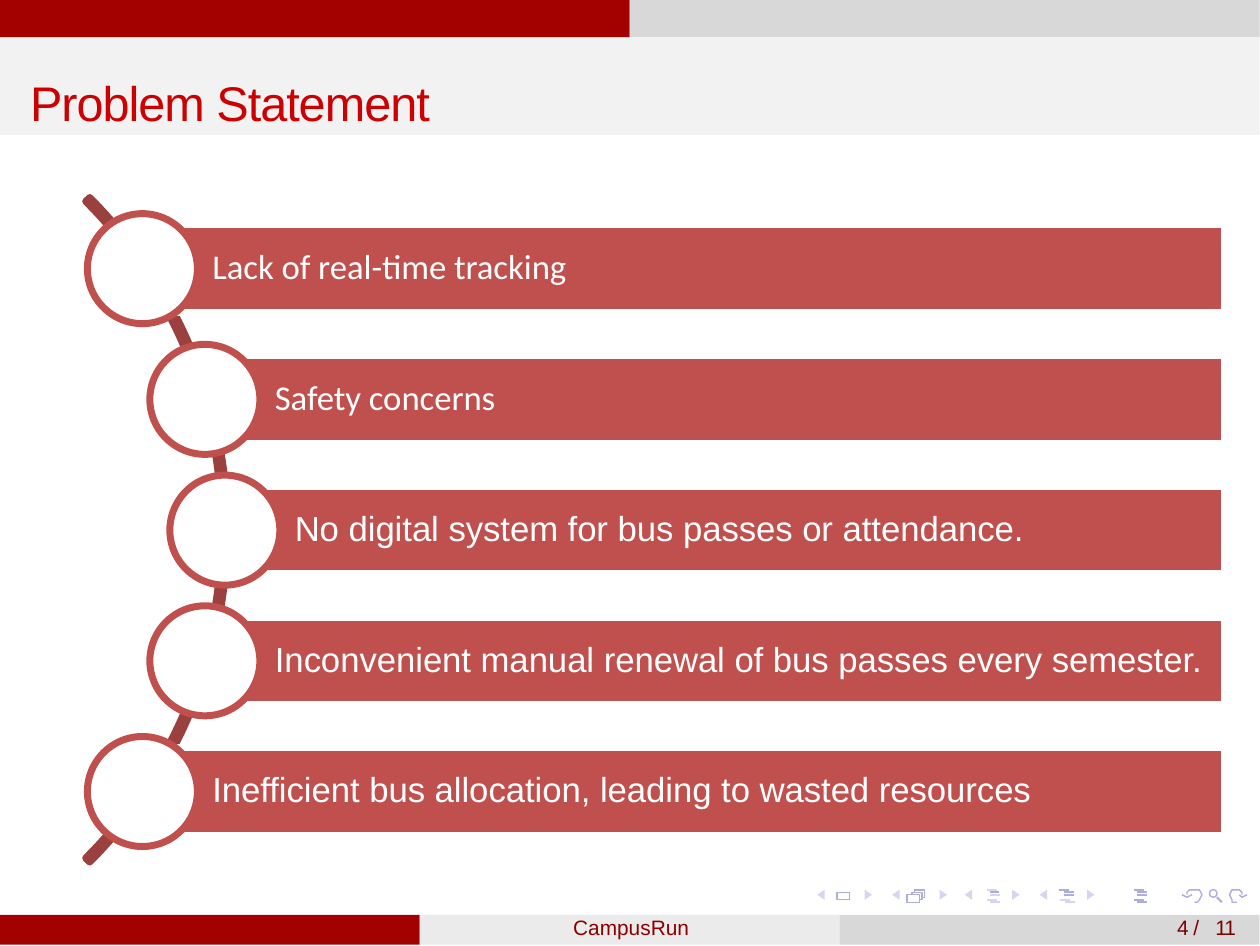
"""Build the Problem Statement slide with its curved list of five issues."""
from pptx import Presentation
from pptx import util as u
from pptx.dml.color import RGBColor
from pptx.enum import shapes, text

RED = RGBColor(0xA3, 0x00, 0x00)
TITLE_RED = RGBColor(0xCC, 0x00, 0x00)
FOOTER_RED = RGBColor(0x8E, 0x00, 0x00)
PAGE_RED = RGBColor(0x7A, 0x00, 0x00)
BRICK = RGBColor(0xC0, 0x50, 0x4D)
ARC_RED = RGBColor(0x9A, 0x40, 0x3E)
WHITE = RGBColor(0xFF, 0xFF, 0xFF)
GREY = RGBColor(0xD8, 0xD8, 0xD8)
PALE_GREY = RGBColor(0xEB, 0xEB, 0xEB)
TITLE_GREY = RGBColor(0xF2, 0xF2, 0xF2)
LILAC = RGBColor(0xAD, 0xAD, 0xE0)
PALE_LILAC = RGBColor(0xD6, 0xD6, 0xEF)

BANDS = [
    (0, 0, 2.52, 0.15, RED),
    (2.52, 0, 2.52, 0.15, GREY),
    (0, 0.15, 5.04, 0.39, TITLE_GREY),
    (0, 3.66, 1.68, 0.12, RED),
    (1.68, 3.66, 1.68, 0.12, PALE_GREY),
    (3.36, 3.66, 1.68, 0.12, GREY),
]
ISSUES = [
    ("Lack of real-time tracking", "Calibri", 0.57),
    ("Safety concerns", "Calibri", 0.82),
    ("No digital system for bus passes or attendance.", "Arial", 0.9),
    ("Inconvenient manual renewal of bus passes every semester.", "Arial", 0.82),
    ("Inefficient bus allocation, leading to wasted resources", "Arial", 0.57),
]
LABELS = [
    ((0.12, 0.27, 1.65, 0.27), 0.02, 1.4, 14, TITLE_RED, text.PP_ALIGN.LEFT,
     [("Problem Statement", -30)]),
    ((2.05, 3.63, 0.95, 0.13), 0.03, 1.9, 6, FOOTER_RED, text.PP_ALIGN.CENTER,
     [("CampusRun", 0)]),
    ((4.71, 3.63, 0.28, 0.15), 0.03, 1.9, 6, PAGE_RED, text.PP_ALIGN.LEFT,
     [("4 ", -30), ("/ ", 150), ("11", -30)]),
]

PALE_BARS = [(395, 356), (396, 358), (395, 360), (396, 361), (424, 360), (426, 361)]
DARK_BARS = [(396, 357), (424, 356), (426, 357), (426, 358), (454, 356),
             (455, 357), (455, 358), (454, 360), (455, 361)]
FRAMES = [
    [(335, 360), (340, 360), (340, 357), (335, 357), (335, 360)],
    [(363, 361), (368, 361), (368, 358), (363, 358), (363, 361)],
    [(365, 358), (365, 357), (369, 357), (369, 360), (368, 360)],
    [(366, 357), (366, 356), (370, 356), (370, 359), (369, 359)],
]
TURNS = [
    [(478, 361), (479, 361), (480, 360), (481, 358), (480, 356), (478, 356),
     (476, 356), (475, 357), (475, 358)],
    [(477, 358), (475, 359), (473, 358)],
    [(495, 361), (493, 361), (493, 360), (492, 358), (493, 356), (495, 356),
     (496, 356), (497, 357), (497, 358)],
    [(499, 358), (497, 359), (496, 358)],
]
LENS_HANDLE = [(487, 359), (489, 361)]


def paint(shape, fill=None, line=None, width=0.0):
    shape.shadow.inherit = False
    if fill is None:
        shape.fill.background()
    else:
        shape.fill.solid()
        shape.fill.fore_color.rgb = fill
    if line is None:
        shape.line.fill.background()
    else:
        shape.line.color.rgb = line
        shape.line.width = u.Pt(width)
    return shape


def add_preset(page, kind, area, **colours):
    return paint(page.shapes.add_shape(kind, *map(u.Inches, area)), **colours)


def add_outlines(page, outlines, **colours):
    builder = page.shapes.build_freeform(*outlines[0][0], scale=u.Inches(0.01))
    for index, points in enumerate(outlines):
        if index:
            builder.move_to(*points[0])
        builder.add_line_segments(points[1:], close=points[0] == points[-1])
    paint(builder.convert_to_shape(), **colours)


def set_insets(frame, left, top, right, bottom):
    frame.word_wrap = True
    frame.margin_left, frame.margin_top = u.Inches(left), u.Inches(top)
    frame.margin_right, frame.margin_bottom = u.Inches(right), u.Inches(bottom)


def add_span(para, words, font, size, colour, spacing=0):
    span = para.add_run()
    span.text = words
    span.font.name, span.font.size = font, u.Pt(size)
    span.font.color.rgb = colour
    if spacing:
        span._r.get_or_add_rPr().set("spc", str(spacing))


def add_navigation(page):
    triangles = []
    for index in range(4):
        left = round(327 + 29.67 * index)
        right = left + 19
        triangles.append([(left + 3, 356), (left, 358), (left + 3, 360), (left + 3, 356)])
        triangles.append([(right, 356), (right, 360), (right + 3, 358), (right, 356)])
    add_outlines(page, triangles, fill=PALE_LILAC)
    pale, dark = ([[(x, y), (x + 4, y)] for x, y in bars] for bars in (PALE_BARS, DARK_BARS))
    add_outlines(page, pale, line=PALE_LILAC, width=0.6)
    add_outlines(page, dark + [LENS_HANDLE], line=LILAC, width=0.6)
    add_outlines(page, FRAMES + TURNS, line=LILAC, width=0.4)
    add_preset(page, shapes.MSO_SHAPE.OVAL, (4.84, 3.56, 0.03, 0.03), line=LILAC, width=0.4)


def add_label(page, area, inset, before, size, colour, alignment, spans):
    box = page.shapes.add_textbox(*map(u.Inches, area))
    set_insets(box.text_frame, 0, inset, 0, 0)
    para = box.text_frame.paragraphs[0]
    para.alignment, para.space_before = alignment, u.Pt(before)
    for words, spacing in spans:
        add_span(para, words, "Arial", size, colour, spacing)


def add_issues(page):
    arc = add_preset(page, shapes.MSO_SHAPE.BLOCK_ARC, (-2.85, 0.24, 3.76, 3.76),
                     line=ARC_RED, width=2)
    for index, value in enumerate((189, 27, 0.006)):
        arc.adjustments[index] = value
    for index, (words, font, left) in enumerate(ISSUES):
        top = 0.9 + 0.523 * index
        bar = add_preset(page, shapes.MSO_SHAPE.RECTANGLE, (left, top, 4.9 - left, 0.35),
                         fill=BRICK, line=WHITE, width=2)
        set_insets(bar.text_frame, 0.28, 0.03, 0.03, 0.03)
        bar.text_frame.vertical_anchor = text.MSO_ANCHOR.MIDDLE
        para = bar.text_frame.paragraphs[0]
        para.alignment, para.line_spacing = text.PP_ALIGN.LEFT, 0.9
        add_span(para, words, font, 10, WHITE)
        add_preset(page, shapes.MSO_SHAPE.OVAL, (left - 0.22, top - 0.045, 0.44, 0.44),
                   fill=WHITE, line=BRICK, width=2)


def main():
    deck = Presentation()
    deck.slide_width, deck.slide_height = u.Pt(363), u.Pt(272.5)
    page = deck.slides.add_slide(deck.slide_layouts[6])
    add_navigation(page)
    for *area, colour in BANDS:
        add_preset(page, shapes.MSO_SHAPE.RECTANGLE, area, fill=colour)
    for label in LABELS:
        add_label(page, *label)
    add_issues(page)
    deck.save("out.pptx")


if __name__ == "__main__":
    main()
